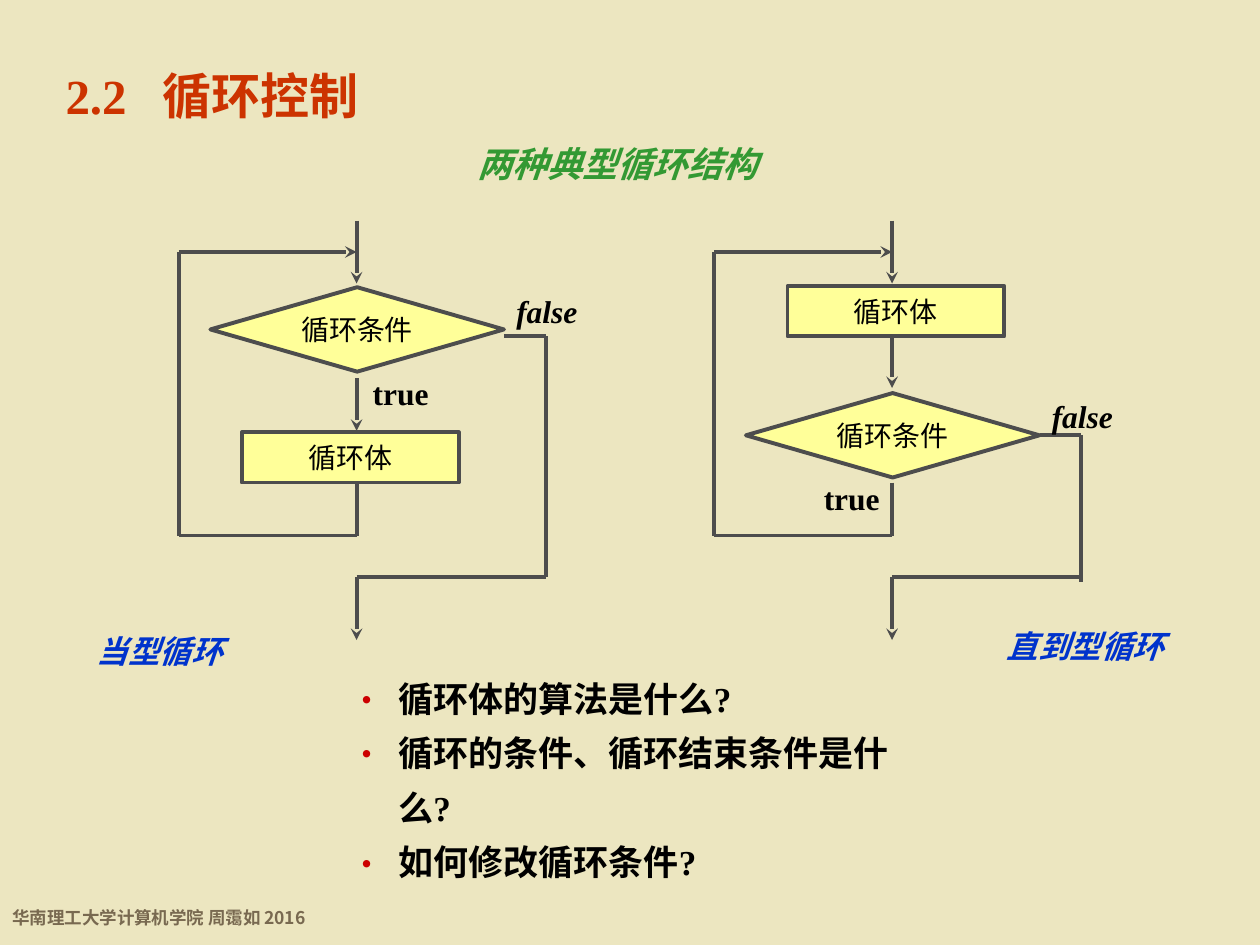
from lxml import etree
from pptx import Presentation
from pptx.dml.color import RGBColor
from pptx.enum.shapes import MSO_CONNECTOR, MSO_SHAPE
from pptx.enum.text import MSO_ANCHOR, MSO_AUTO_SIZE, PP_ALIGN
from pptx.oxml.ns import qn
from pptx.util import Inches, Pt

CJK_FONT = "Noto Sans CJK SC"
LATIN_FONT = "Times New Roman"
INK = "4D4D4D"
BLUE = "0033CC"
rgb = RGBColor.from_string


def write(para, text, size=18, color="000000", bold=True, italic=False,
          font=LATIN_FONT, align=PP_ALIGN.LEFT):
    para.alignment = align
    span = para.add_run()
    span.text = text
    span.font.size = Pt(size)
    span.font.bold = bold
    span.font.italic = italic
    span.font.color.rgb = rgb(color)
    span.font.name = font
    latin = span.font._element.find(qn("a:latin"))
    latin.addnext(etree.Element(qn("a:ea"), typeface=CJK_FONT))


def connect(group, start, end, arrow=False):
    """Draw a flow line in the group between two points given in inches."""
    ends = [Inches(value) for value in (*start, *end)]
    line = group.shapes.add_connector(MSO_CONNECTOR.STRAIGHT, *ends)
    line.line.color.rgb = rgb(INK)
    line.line.width = Pt(2.25)
    if arrow:
        etree.SubElement(line.line._get_or_add_ln(), qn("a:tailEnd"), type="stealth")
    etree.SubElement(line._element.spPr, qn("a:effectLst"))
    return line


deck = Presentation()
deck.slide_width, deck.slide_height = Inches(10), Inches(7.5)
page = deck.slides.add_slide(deck.slide_layouts[1])
page.background.fill.solid()
page.background.fill.fore_color.rgb = rgb("ECE6C0")

# Title and question list
title, questions = page.placeholders
for box, place in ((title, (0.42, 0.42, 4.83, 0.67)),
                   (questions, (2.67, 5.24, 4.77, 1.8))):
    box.left, box.top, box.width, box.height = map(Inches, place)
    box.text_frame.vertical_anchor = MSO_ANCHOR.MIDDLE
    box.text_frame.auto_size = MSO_AUTO_SIZE.NONE
    box.text_frame.word_wrap = True

para = title.text_frame.paragraphs[0]
tabs = etree.SubElement(para._p.get_or_add_pPr(), qn("a:tabLst"))
etree.SubElement(tabs, qn("a:tab"), pos=str(Inches(0.77)), algn="l")
write(para, "2.2\t循环控制", size=28, color="CC3300")

frame = questions.text_frame
frame.margin_right = Inches(0.3)
for number, text in enumerate(("循环体的算法是什么?",
                               "循环的条件、循环结束条件是什么?",
                               "如何修改循环条件?")):
    para = frame.add_paragraph() if number else frame.paragraphs[0]
    props = para._p.get_or_add_pPr()
    props.set("marL", str(Inches(0.39)))
    props.set("indent", str(-Inches(0.39)))
    bullet_color = etree.SubElement(props, qn("a:buClr"))
    etree.SubElement(bullet_color, qn("a:srgbClr"), val="CC0000")
    etree.SubElement(props, qn("a:buFont"), typeface=CJK_FONT)
    etree.SubElement(props, qn("a:buChar"), char="•")
    para.line_spacing = 1.3
    para.space_before = Pt(0)
    write(para, text, size=20)

# The two loop flowcharts share their outer lines and differ in the order of steps
loops = (
    dict(axis=2.83, condition=(1.67, 2.28), body=(1.92, 3.43), middle=(3, 3.42),
         exit_y=2.67, exit_end=4.58, joined=False, true_at=(2.86, 2.92),
         false_at=(4, 2.27), name="当型循环", name_at=(0.67, 4.97), name_width=1.2),
    dict(axis=7.08, condition=(5.92, 3.12), body=(6.25, 2.27), middle=(2.67, 3.08),
         exit_y=3.12 + 0.67 / 2, exit_end=4.62, joined=True, true_at=(6.44, 3.75),
         false_at=(8.25, 3.1), name="直到型循环", name_at=(7.89, 4.93), name_width=1.45),
)
for loop in loops:
    group = page.shapes.add_group_shape()
    axis, exit_y = loop["axis"], loop["exit_y"]
    back_x, exit_x = axis - 1.41, axis + 1.5

    steps = []
    for kind, place, size, text in (
            (MSO_SHAPE.FLOWCHART_DECISION, loop["condition"], (2.33, 0.67), "循环条件"),
            (MSO_SHAPE.FLOWCHART_PROCESS, loop["body"], (1.72, 0.4), "循环体")):
        step = group.shapes.add_shape(kind, *map(Inches, place + size))
        step.shadow.inherit = False
        step.fill.solid()
        step.fill.fore_color.rgb = rgb("FFFF99")
        step.line.color.rgb = rgb(INK)
        step.line.width = Pt(2.25)
        step.text_frame.vertical_anchor = MSO_ANCHOR.MIDDLE
        write(step.text_frame.paragraphs[0], text, size=16, bold=False,
              align=PP_ALIGN.CENTER)
        steps.append(step)

    connect(group, (axis, 1.75), (axis, 2.25), arrow=True)
    connect(group, (axis, loop["middle"][0]), (axis, loop["middle"][1]), arrow=True)
    connect(group, (axis, 3.83), (axis, 4.25))
    connect(group, (axis, 4.25), (back_x, 4.25))
    connect(group, (back_x, 4.25), (back_x, 2))
    connect(group, (back_x, 2), (axis, 2), arrow=True)
    exit_line = connect(group, (axis + 1.17, exit_y), (exit_x, exit_y))
    if loop["joined"]:
        exit_line.begin_connect(steps[0], 3)
    connect(group, (exit_x, exit_y), (exit_x, loop["exit_end"]))
    connect(group, (axis, 4.58), (exit_x, 4.58))
    connect(group, (axis, 4.58), (axis, 5.08), arrow=True)

    for text, place, width, style in (
            ("true", loop["true_at"], 0.64, {}),
            ("false", loop["false_at"], 0.68, dict(italic=True)),
            (loop["name"], loop["name_at"], loop["name_width"],
             dict(color=BLUE, italic=True))):
        label = group.shapes.add_textbox(*map(Inches, (*place, width, 0.4)))
        frame = label.text_frame
        frame.margin_left = frame.margin_right = 0
        frame.word_wrap = True
        frame.vertical_anchor = MSO_ANCHOR.MIDDLE
        write(frame.paragraphs[0], text, align=PP_ALIGN.CENTER, **style)

# Subtitle and footer
subtitle = page.shapes.add_textbox(Inches(3.69), Inches(1.08), Inches(2.64), Inches(0.43))
subtitle.text_frame.word_wrap = True
subtitle.text_frame.vertical_anchor = MSO_ANCHOR.MIDDLE
write(subtitle.text_frame.paragraphs[0], "两种典型循环结构", size=20, color="339933",
      italic=True, font=CJK_FONT)

footer = page.shapes.add_textbox(Inches(0), Inches(7.08), Inches(2.59), Inches(0.34))
footer.text_frame.word_wrap = False
para = footer.text_frame.paragraphs[0]
para.line_spacing = 1.4
write(para, "华南理工大学计算机学院 周霭如 2016", size=10, color="786950", font=CJK_FONT)

deck.save("out.pptx")
